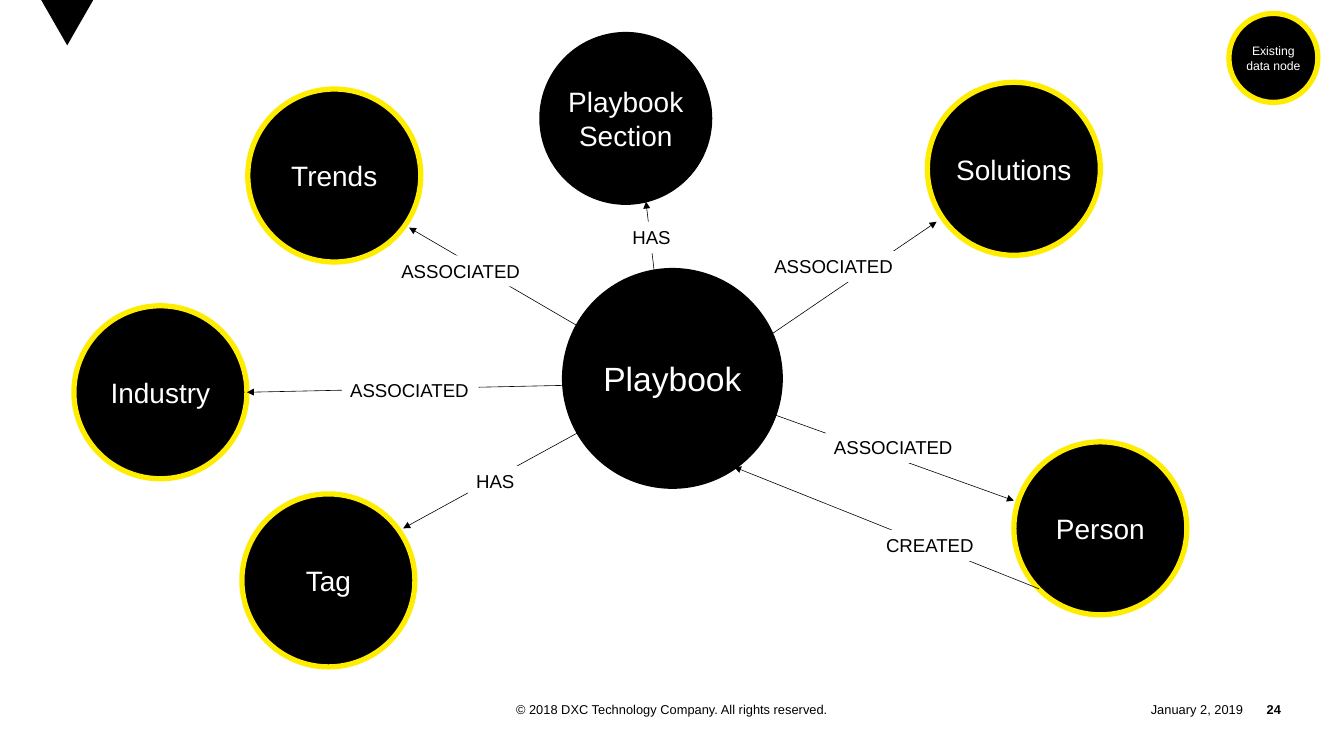
from lxml.etree import SubElement
from pptx import Presentation
from pptx.dml.color import RGBColor
from pptx.enum.shapes import MSO_CONNECTOR, MSO_SHAPE
from pptx.enum.text import MSO_ANCHOR, MSO_AUTO_SIZE, PP_ALIGN
from pptx.oxml.ns import qn
from pptx.util import Inches, Pt

BLACK = RGBColor(0x00, 0x00, 0x00)
WHITE = RGBColor(0xFF, 0xFF, 0xFF)
YELLOW = RGBColor(0xFF, 0xED, 0x00)

NODE_SIZE = 2.06
LABEL_WIDTHS = {"ASSOCIATED": 1.63, "HAS": 0.66, "CREATED": 1.25}


class GraphSlide:
    font = "Arial"

    def __init__(self, prs):
        self.s = prs.slides.add_slide(prs.slide_layouts[6])

    def add_text(self, tf, text, size, color, align, bold=False):
        p = tf.paragraphs[0]
        p.alignment = align
        for i, line in enumerate(text.split("\n")):
            if i:
                p.add_line_break()
            r = p.add_run()
            r.text = line
            r.font.name = self.font
            r.font.size = Pt(size)
            r.font.bold = bold
            r.font.color.rgb = color

    def no_insets(self, tf):
        tf.margin_left = tf.margin_right = tf.margin_top = tf.margin_bottom = 0

    def node(self, text, left, top, size=NODE_SIZE, font_size=24, existing=True):
        """Black circle; a yellow ring marks an existing data node."""
        sp = self.s.shapes.add_shape(MSO_SHAPE.OVAL, Inches(left), Inches(top),
                                     Inches(size), Inches(size))
        sp.shadow.inherit = False
        sp.fill.solid()
        sp.fill.fore_color.rgb = BLACK
        if existing:
            sp.line.color.rgb = YELLOW
            sp.line.width = Pt(4.5)
        else:
            sp.line.fill.background()
        tf = sp.text_frame
        tf.word_wrap = True
        tf.vertical_anchor = MSO_ANCHOR.MIDDLE
        self.no_insets(tf)
        self.add_text(tf, text, font_size, WHITE, PP_ALIGN.CENTER)

    def link(self, x1, y1, x2, y2, both=True):
        """Thin line with an arrowhead at its end, or at both ends."""
        c = self.s.shapes.add_connector(MSO_CONNECTOR.STRAIGHT, Inches(x1), Inches(y1),
                                        Inches(x2), Inches(y2))
        c.line.color.rgb = BLACK
        c.line.width = Pt(0.5)
        ln = c.line._get_or_add_ln()
        for tag in ("a:headEnd", "a:tailEnd") if both else ("a:tailEnd",):
            SubElement(ln, qn(tag), type="triangle")
        SubElement(c._element.spPr, qn("a:effectLst"))

    def label(self, text, left, top):
        sp = self.s.shapes.add_textbox(Inches(left), Inches(top),
                                       Inches(LABEL_WIDTHS[text]), Inches(0.37))
        sp.fill.solid()
        sp.fill.fore_color.rgb = WHITE
        tf = sp.text_frame
        tf.word_wrap = False
        tf.auto_size = MSO_AUTO_SIZE.SHAPE_TO_FIT_TEXT
        self.add_text(tf, text, 16, BLACK, PP_ALIGN.LEFT)

    def footer(self, text, left, width, align, bold=False):
        sp = self.s.shapes.add_textbox(Inches(left), Inches(8.29), Inches(width), Inches(0.3))
        tf = sp.text_frame
        tf.word_wrap = False
        tf.vertical_anchor = MSO_ANCHOR.MIDDLE
        self.no_insets(tf)
        self.add_text(tf, text, 11, BLACK, align, bold)

    def corner_mark(self):
        fb = self.s.shapes.build_freeform(Inches(0.49), 0)
        fb.add_line_segments([(Inches(0.8), Inches(0.54)), (Inches(1.11), 0)])
        sp = fb.convert_to_shape()
        sp.shadow.inherit = False
        sp.fill.solid()
        sp.fill.fore_color.rgb = BLACK
        sp.line.fill.background()


def main():
    prs = Presentation()
    prs.slide_width, prs.slide_height = Inches(16), Inches(9)
    g = GraphSlide(prs)

    g.corner_mark()
    g.footer("January 2, 2019", 13.01, 1.79, PP_ALIGN.RIGHT)
    g.footer("24", 14.8, 0.45, PP_ALIGN.RIGHT, bold=True)
    g.footer("© 2018 DXC Technology Company. All rights reserved.", 5.25, 5.5, PP_ALIGN.CENTER)

    # Links that run beneath the outer nodes
    for ends in [
        (12.07, 5.96, 8, 4.5),
        (11.15, 2.64, 8.17, 4.67),
        (4.87, 2.71, 7.94, 4.5),
        (4.8, 6.29, 7.96, 4.56),
    ]:
        g.link(*ends)

    for text, left, top in [
        ("Solutions", 11.04, 0.98),
        ("Person", 12.07, 5.26),
        ("Trends", 2.95, 1.06),
        ("Tag", 2.88, 5.88),
        ("Industry", 0.88, 3.64),
    ]:
        g.node(text, left, top)
    g.node("Playbook\nSection", 6.42, 0.38, existing=False)
    g.node("Existing data node", 14.63, 0.16, size=1.06, font_size=10.5)

    # Links that run over the outer nodes
    g.link(12.37, 7.01, 8.74, 5.56, both=False)
    g.link(2.94, 4.67, 8, 4.56)
    g.link(7.69, 2.4, 7.83, 3.58)

    g.node("Playbook", 6.69, 3.19, size=2.63, font_size=28.8, existing=False)

    for text, left, top in [
        ("ASSOCIATED", 9.83, 5.14),
        ("ASSOCIATED", 9.12, 2.99),
        ("ASSOCIATED", 4.68, 3.04),
        ("ASSOCIATED", 4.07, 4.46),
        ("HAS", 5.57, 5.55),
        ("HAS", 7.43, 2.64),
        ("CREATED", 10.45, 6.31),
    ]:
        g.label(text, left, top)

    prs.save("out.pptx")


if __name__ == "__main__":
    main()
